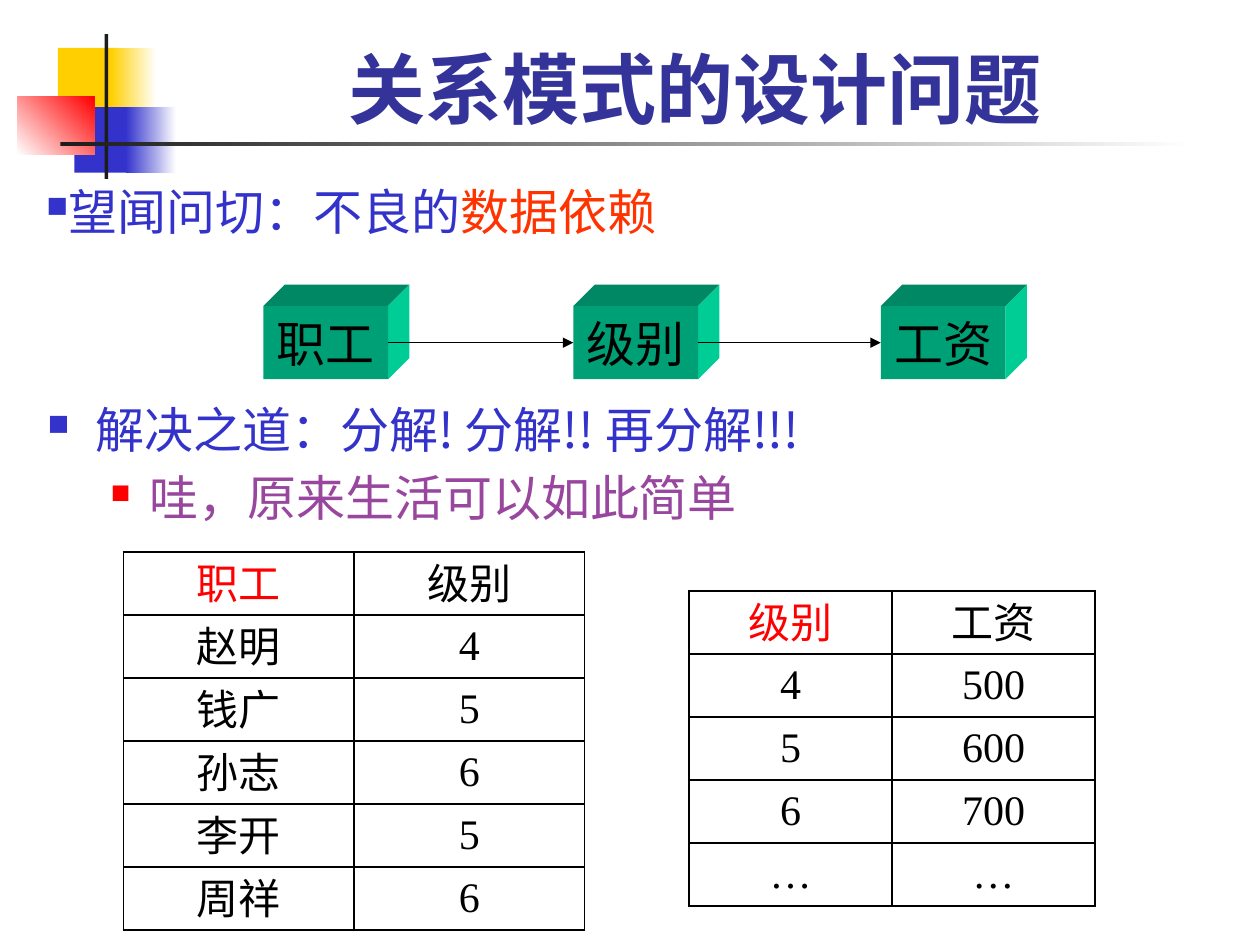
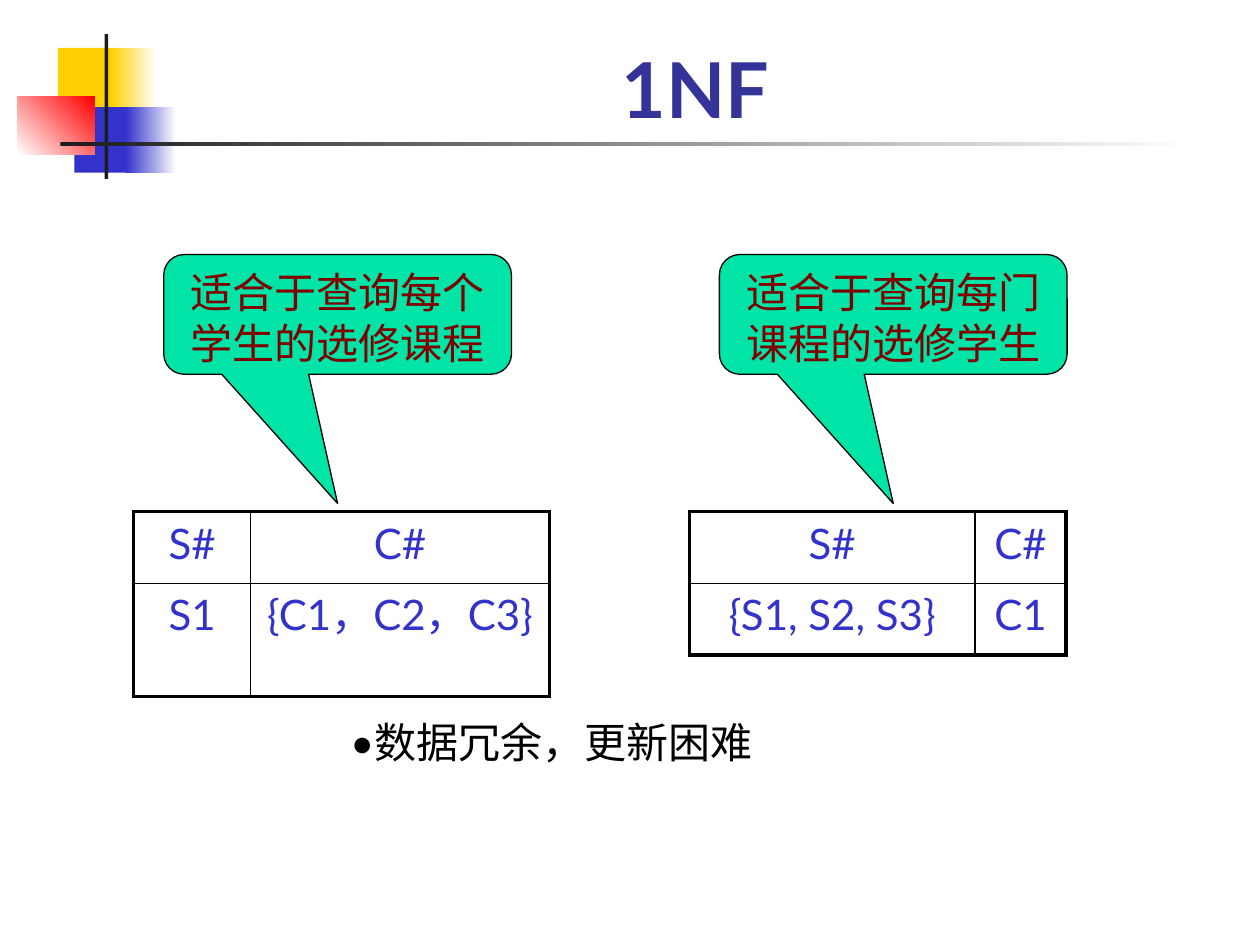
from collections.abc import Sequence
from dataclasses import dataclass
from itertools import pairwise

from lxml import etree
from pptx import Presentation
from pptx import util as u
from pptx.dml.color import RGBColor
from pptx.enum import shapes, text
from pptx.oxml.ns import qn

BLUE, NAVY, RED, YELLOW = "3333CC", "333399", "FF0000", "FFCF01"
BLACK, WHITE, INK, MINT = "000000", "FFFFFF", "1C1C1C", "00E4A8"
ORANGE, PURPLE, MAROON = "FF3300", "98469E", "800000"
FRONT, TOP, SIDE = "00A077", "008763", "00CC95"
SANS, SERIF, CJK = "Lato", "Times New Roman", "Noto Sans CJK SC"
CENTER, LEFT, JUSTIFY = text.PP_ALIGN.CENTER, text.PP_ALIGN.LEFT, text.PP_ALIGN.JUSTIFY
MIDDLE, ANCHOR_TOP = text.MSO_ANCHOR.MIDDLE, text.MSO_ANCHOR.TOP


@dataclass(frozen=True)
class Box:
    left: float
    top: float
    width: float
    height: float

    def lengths(self) -> list[u.Length]:
        return [u.Inches(v) for v in (self.left, self.top, self.width, self.height)]


@dataclass(frozen=True)
class Style:
    size: float
    color: str
    font: str = SANS
    bold: bool = False


@dataclass(frozen=True)
class Bullet:
    char: str
    font: str
    color: str
    percent: int = 100


@dataclass(frozen=True)
class Para:
    runs: Sequence[tuple[str, Style]]
    align: text.PP_ALIGN = CENTER
    bullet: Bullet | None = None
    indent: tuple[float, float] = (0, 0)
    before: float = 0


@dataclass(frozen=True)
class Block:
    box: Box
    start: str
    end: str | None = None
    angle: float = 0


@dataclass(frozen=True)
class Grid:
    left: float
    top: float
    cols: Sequence[float]
    row_height: float
    rows: Sequence[Sequence[str]]
    style: Style
    outer: float
    anchor: text.MSO_ANCHOR
    key_color: str


DECOR = [
    Block(Box(0.46, 0.38, 0.48, 0.52), YELLOW),
    Block(Box(0.88, 0.38, 0.36, 0.52), YELLOW, WHITE),
    Block(Box(0.59, 0.85, 0.46, 0.52), BLUE),
    Block(Box(1, 0.85, 0.4, 0.52), BLUE, WHITE),
    Block(Box(0.14, 0.77, 0.61, 0.46), WHITE, RED, 45),
    Block(Box(0.83, 0.27, 0.03, 1.15), INK),
    Block(Box(0.48, 1.13, 9, 0.03), INK, WHITE),
]
TITLE_BOX = Box(1.26, 0.17, 8.52, 0.94)
TITLE = Style(44, NAVY, bold=True)
BODY = Style(28, BLUE)
NOTE = Style(24, BLACK)
SQUARE = Bullet("n", "Wingdings", BLUE, 60)


def rgb(color: str) -> RGBColor:
    return RGBColor.from_string(color)


def paint(sp, color: str, line: str | None = None) -> None:
    sp.shadow.inherit = False
    sp.fill.solid()
    sp.fill.fore_color.rgb = rgb(color)
    if line:
        sp.line.color.rgb = rgb(line)
        sp.line.width = u.Pt(0.75)
    else:
        sp.line.fill.background()


def add_run(p, words: str, style: Style) -> None:
    r = p.add_run()
    r.text = words
    f = r.font
    f.size, f.bold, f.name = u.Pt(style.size), style.bold, style.font
    f.color.rgb = rgb(style.color)
    latin = r._r.get_or_add_rPr().find(qn("a:latin"))
    ea = etree.Element(qn("a:ea"), typeface=SANS)
    latin.addnext(ea)


def add_bullet(p, bullet: Bullet, indent: tuple[float, float]) -> None:
    pPr = p._p.get_or_add_pPr()
    pPr.set("marL", str(u.Inches(indent[0])))
    pPr.set("indent", str(u.Inches(indent[1])))
    clr = etree.SubElement(pPr, qn("a:buClr"))
    etree.SubElement(clr, qn("a:srgbClr"), val=bullet.color)
    etree.SubElement(pPr, qn("a:buSzPct"), val=str(bullet.percent * 1000))
    etree.SubElement(pPr, qn("a:buFont"), typeface=bullet.font)
    etree.SubElement(pPr, qn("a:buChar"), char=bullet.char)


def write(tf, paras: Sequence[Para]) -> None:
    for i, para in enumerate(paras):
        p = tf.add_paragraph() if i else tf.paragraphs[0]
        if para.bullet:
            add_bullet(p, para.bullet, para.indent)
        p.alignment = para.align
        p.space_before = u.Pt(para.before)
        for words, style in para.runs:
            add_run(p, words, style)


def add_text(s, box: Box, paras: Sequence[Para], wrap: bool = True) -> None:
    tf = s.shapes.add_textbox(*box.lengths()).text_frame
    tf.word_wrap = wrap
    write(tf, paras)


def decorate(layout, s) -> None:
    """Draw the shared corner blocks and rules, then hand them to the layout."""
    for block in DECOR:
        sp = s.shapes.add_shape(shapes.MSO_SHAPE.RECTANGLE, *block.box.lengths())
        paint(sp, block.start)
        if block.end:
            sp.fill.gradient()
            sp.fill.gradient_angle = block.angle
            for stop, color in zip(sp.fill.gradient_stops, (block.start, block.end)):
                stop.color.rgb = rgb(color)
        layout.shapes.element.append(sp.element)


def add_titled_slide(prs, layout, title: str):
    s = prs.slides.add_slide(layout)
    sp = s.shapes.title
    sp.left, sp.top, sp.width, sp.height = TITLE_BOX.lengths()
    tf = sp.text_frame
    tf.vertical_anchor = text.MSO_ANCHOR.BOTTOM
    tf.auto_size = text.MSO_AUTO_SIZE.NONE
    write(tf, [Para([(title, TITLE)])])
    return s


def set_border(cell, side: str, width: float) -> None:
    tcPr = cell._tc.get_or_add_tcPr()
    ln = etree.SubElement(tcPr, qn(f"a:ln{side}"), w=str(u.Pt(width)))
    fill = etree.SubElement(ln, qn("a:solidFill"))
    etree.SubElement(fill, qn("a:srgbClr"), val=BLACK)


def add_grid(s, grid: Grid) -> None:
    n, m = len(grid.rows), len(grid.cols)
    box = Box(grid.left, grid.top, sum(grid.cols), n * grid.row_height)
    table = s.shapes.add_table(n, m, *box.lengths()).table
    table.first_row = table.horz_banding = False
    for col, width in zip(table.columns, grid.cols):
        col.width = u.Inches(width)
    for i, row in enumerate(grid.rows):
        table.rows[i].height = u.Inches(grid.row_height)
        for j, words in enumerate(row):
            cell = table.cell(i, j)
            edges = {"L": j == 0, "R": j == m - 1, "T": i == 0, "B": i == n - 1}
            for side, is_outer in edges.items():
                set_border(cell, side, grid.outer if is_outer else 1)
            cell.fill.background()
            cell.vertical_anchor = grid.anchor
            color = grid.key_color if i == j == 0 else grid.style.color
            style = Style(grid.style.size, color, grid.style.font)
            write(cell.text_frame, [Para([(words, style)])])


def add_face(s, points: Sequence[tuple[float, float]], color: str) -> None:
    corners = [(u.Inches(x), u.Inches(y)) for x, y in points]
    fb = s.shapes.build_freeform(*corners[0])
    fb.add_line_segments(corners[1:], close=True)
    paint(fb.convert_to_shape(), color)


def add_cube(s, box: Box, words: str, depth: float = 0.17):
    """Draw a labelled block with a top and a right face; return its front."""
    x, y = box.left, box.top
    right, bottom = x + box.width, y + box.height
    add_face(s, [(x, y), (x + depth, y - depth), (right + depth, y - depth), (right, y)], TOP)
    add_face(s, [(right, y), (right + depth, y - depth),
                 (right + depth, bottom - depth), (right, bottom)], SIDE)
    sp = s.shapes.add_shape(shapes.MSO_SHAPE.RECTANGLE, *box.lengths())
    paint(sp, FRONT)
    sp.text_frame.word_wrap = False
    sp.text_frame.vertical_anchor = MIDDLE
    write(sp.text_frame, [Para([(words, Style(28, BLACK))])])
    return sp


def add_arrow(s, start, end) -> None:
    cx = s.shapes.add_connector(shapes.MSO_CONNECTOR.STRAIGHT, 0, 0, 0, 0)
    cx.begin_connect(start, 3)
    cx.end_connect(end, 1)
    cx.line.color.rgb = rgb(BLACK)
    cx.line.width = u.Pt(0.75)
    etree.SubElement(cx.line._get_or_add_ln(), qn("a:tailEnd"), type="triangle")
    etree.SubElement(cx._element.spPr, qn("a:effectLst"))


def add_callout(s, box: Box, words: str) -> None:
    sp = s.shapes.add_shape(shapes.MSO_SHAPE.ROUNDED_RECTANGULAR_CALLOUT, *box.lengths())
    for i, value in enumerate((0, 1.58, 0.17)):
        sp.adjustments[i] = value
    paint(sp, MINT, BLACK)
    sp.text_frame.word_wrap = True
    sp.text_frame.vertical_anchor = ANCHOR_TOP
    write(sp.text_frame, [Para([(words, Style(24, MAROON))])])


def build_design_slide(s) -> None:
    add_text(s, Box(0.28, 3.12, 9.12, 1.34), [
        Para([("解决之道：分解! 分解!! 再分解!!!", Style(28, BLUE, CJK))],
             JUSTIFY, SQUARE, (0.38, -0.38)),
        Para([("哇，原来生活可以如此简单", Style(28, PURPLE, CJK))],
             JUSTIFY, Bullet("n", "Wingdings", RED, 55), (0.81, -0.31), 5.6),
    ])
    add_text(s, Box(0.27, 1.39, 5.05, 0.57), [
        Para([("望闻问切：不良的", BODY), ("数据依赖", Style(28, ORANGE))], LEFT, SQUARE),
    ], wrap=False)
    cubes = [add_cube(s, Box(x, 2.43, 0.99, 0.58), words)
             for x, words in ((2.09, "职工"), (4.55, "级别"), (6.99, "工资"))]
    for start, end in pairwise(cubes):
        add_arrow(s, start, end)
    cell = Style(24, BLACK, SERIF)
    staff = [("职工", "级别"), ("赵明", "4"), ("钱广", "5"),
             ("孙志", "6"), ("李开", "5"), ("周祥", "6")]
    wages = [("级别", "工资"), ("4", "500"), ("5", "600"), ("6", "700"), ("…", "…")]
    add_grid(s, Grid(0.98, 4.38, (1.83, 1.83), 0.5, staff, cell, 1, MIDDLE, RED))
    add_grid(s, Grid(5.47, 4.69, (1.61, 1.61), 0.5, wages, cell, 1, MIDDLE, RED))


def build_first_form_slide(s) -> None:
    cell = Style(24, BLUE)
    by_student = [("S#", "C#"), ("S1", "{C1，C2，C3}")]
    by_course = [("S#", "C#"), ("{S1, S2, S3}", "C1")]
    for left, cols, rows in ((1.06, (0.93, 2.37), by_student),
                             (5.47, (2.27, 0.72), by_course)):
        add_grid(s, Grid(left, 4.06, cols, 0.57, rows, cell, 2.25, ANCHOR_TOP, BLUE))
    for left, words in ((1.3, "适合于查询每个学生的选修课程"),
                        (5.71, "适合于查询每门课程的选修学生")):
        add_callout(s, Box(left, 2.02, 2.76, 0.95), words)
    add_text(s, Box(2.68, 5.64, 5.51, 0.5), [
        Para([("数据冗余，更新困难", NOTE)], LEFT, Bullet("•", SANS, BLACK)),
    ])


def main() -> None:
    prs = Presentation()
    prs.slide_width, prs.slide_height = u.Inches(10), u.Inches(7.5)
    layout = prs.slide_layouts[5]
    design = add_titled_slide(prs, layout, "关系模式的设计问题")
    decorate(layout, design)
    build_design_slide(design)
    build_first_form_slide(add_titled_slide(prs, layout, "1NF"))
    prs.save("out.pptx")


if __name__ == "__main__":
    main()
